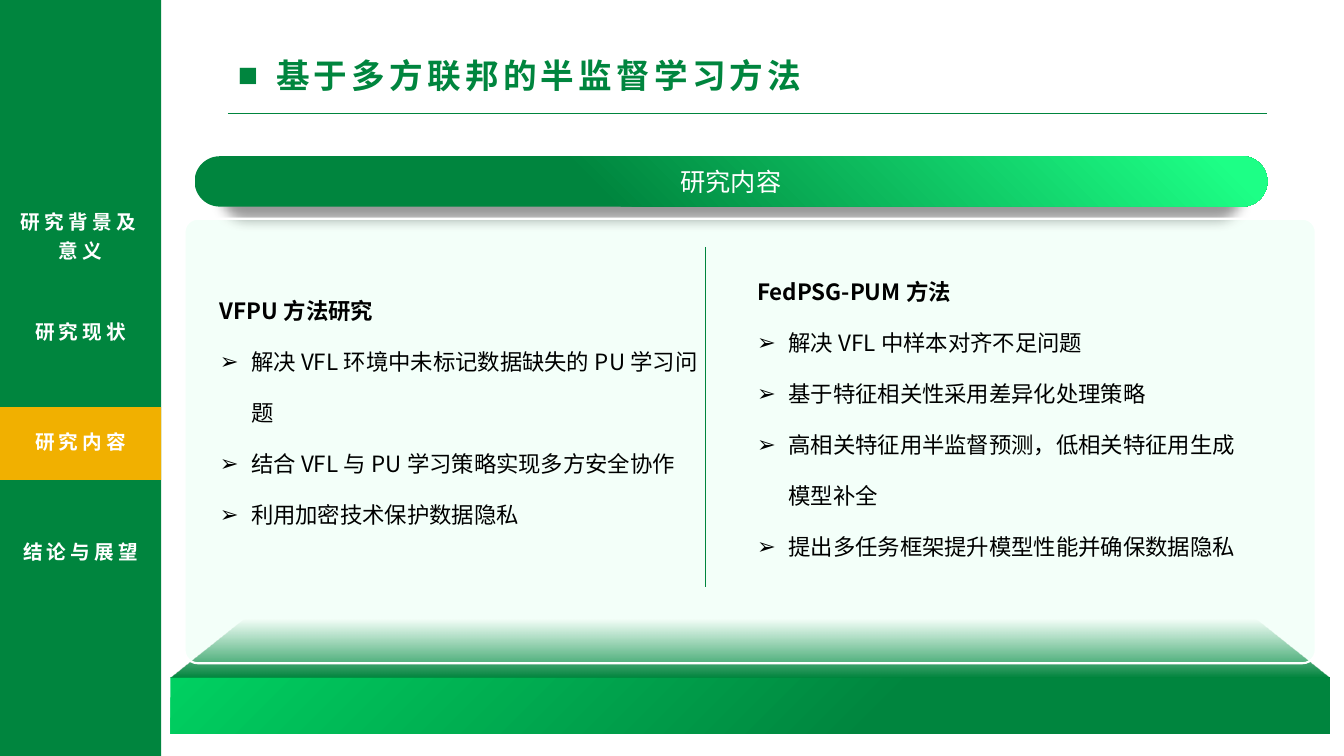
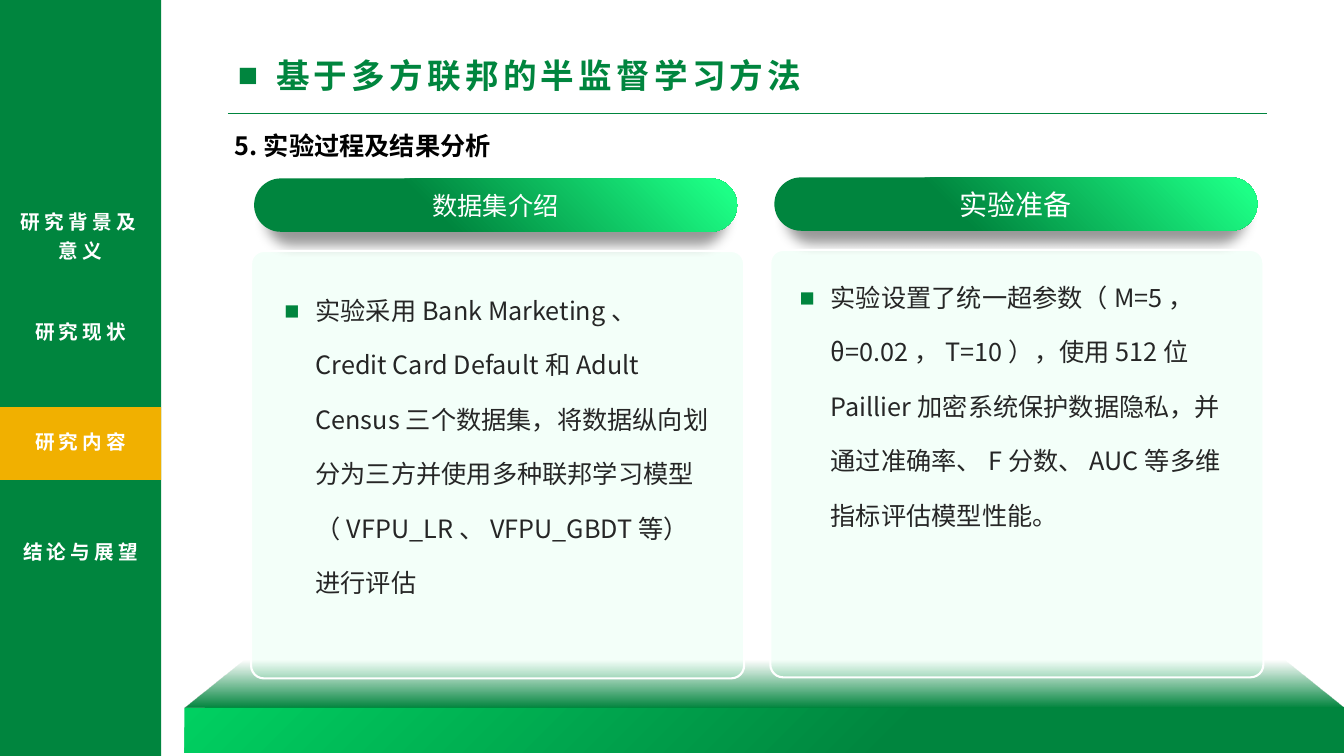
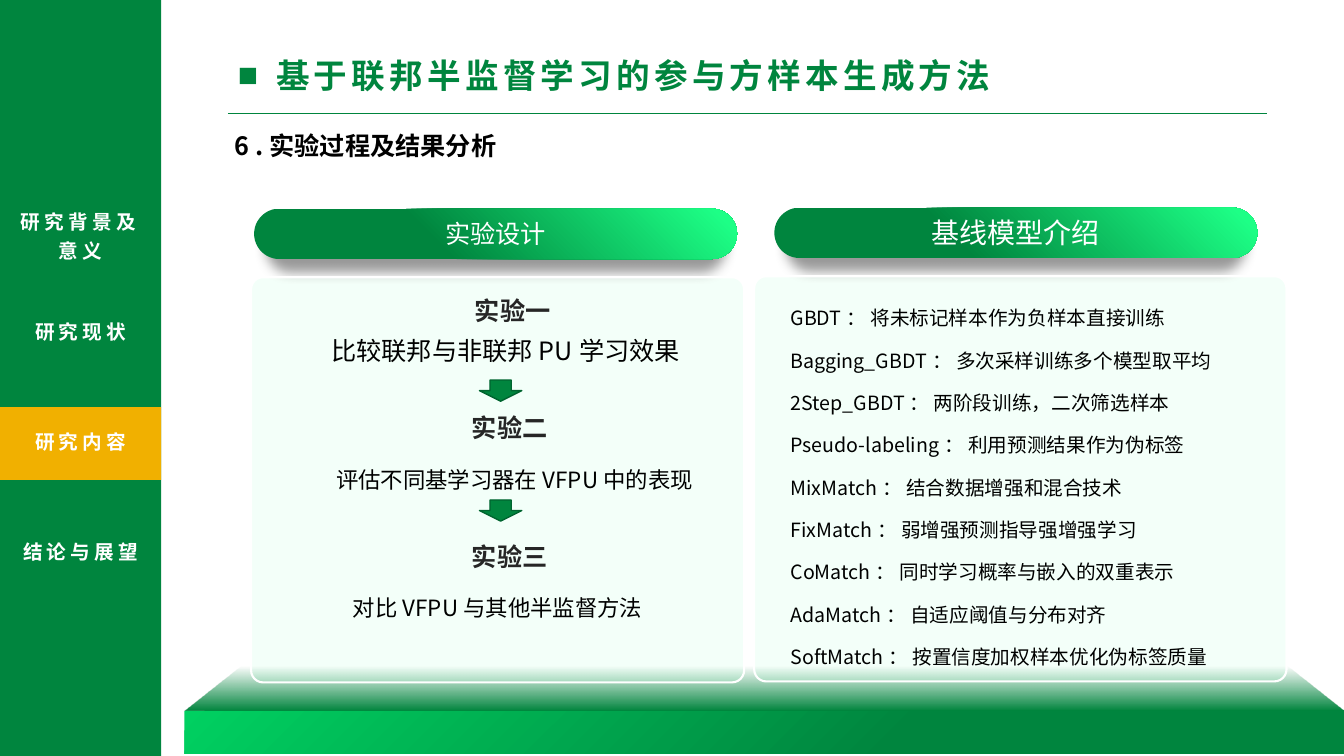
import collections
import dataclasses

import lxml.etree
import pptx
import pptx.dml.color
import pptx.enum.shapes
import pptx.enum.text
import pptx.oxml
import pptx.oxml.ns
import pptx.util

Box = collections.namedtuple("Box", "left top width height")
Inches = pptx.util.Inches
qn = pptx.oxml.ns.qn
Shape = pptx.enum.shapes.MSO_SHAPE
Align = pptx.enum.text.PP_ALIGN
Anchor = pptx.enum.text.MSO_ANCHOR


@dataclasses.dataclass(frozen=True)
class Theme:
    green: str = "00853E"
    dark_green: str = "00642F"
    bright: str = "00D061"
    mint: str = "1DFF86"
    pale: str = "B4FFD7"
    gold: str = "F1B000"
    white: str = "FFFFFF"
    black: str = "000000"
    ink: str = "262626"
    font: str = "Noto Sans CJK SC"
    label_font: str = "Cabin"
    title_size: int = 24
    large: int = 20
    medium: int = 18
    body: int = 16
    small: int = 14
    tracking: int = 300


THEME = Theme()
SECTIONS = ["研究背景及意义", "研究现状", "研究内容", "结论与展望"]
ACTIVE_SECTION = "研究内容"
SECTION_TOP, SECTION_STEP = 1.99, 1.09
SIDEBAR = Box(0, 0, 1.6, 7.5)


def rgb(color):
    return pptx.dml.color.RGBColor.from_string(color)


def lengths(box):
    return [Inches(value) for value in box]


def add_bullet(paragraph, mark, indent, color):
    properties = paragraph._p.get_or_add_pPr()
    properties.set("marL", str(Inches(indent)))
    properties.set("indent", str(-Inches(indent)))
    if not mark:
        lxml.etree.SubElement(properties, qn("a:buNone"))
        return
    bullet_color = lxml.etree.SubElement(properties, qn("a:buClr"))
    lxml.etree.SubElement(bullet_color, qn("a:srgbClr")).set("val", color)
    lxml.etree.SubElement(properties, qn("a:buFont")).set("typeface", "Arial")
    lxml.etree.SubElement(properties, qn("a:buChar")).set("char", mark)


def add_line(paragraph, text, size, color, bold=False, spacing=1.0,
             align=Align.LEFT, mark="", indent=0, mark_color=None,
             tracking=0, font=THEME.font):
    add_bullet(paragraph, mark, indent, mark_color or color)
    paragraph.alignment = align
    paragraph.line_spacing = spacing
    paragraph.space_before = pptx.util.Pt(0)
    run = paragraph.add_run()
    run.text = text
    run.font.size = pptx.util.Pt(size)
    run.font.bold = bold
    run.font.color.rgb = rgb(color)
    run.font.name = font
    properties = run._r.get_or_add_rPr()
    lxml.etree.SubElement(properties, qn("a:ea")).set("typeface", THEME.font)
    if tracking:
        properties.set("spc", str(tracking))


def next_paragraph(frame):
    first = frame.paragraphs[0]
    return frame.add_paragraph() if first.runs else first


def place_text(holder, box):
    holder.left, holder.top, holder.width, holder.height = lengths(box)
    frame = holder.text_frame
    frame.word_wrap = True
    frame.auto_size = pptx.enum.text.MSO_AUTO_SIZE.NONE
    return frame


def add_label(slide, box, text, size, color, **style):
    holder = slide.shapes.add_textbox(*lengths(box))
    frame = place_text(holder, box)
    add_line(frame.paragraphs[0], text, size, color, **style)


def add_block(slide, kind, box, fill=None, line=None, line_width=1):
    block = slide.shapes.add_shape(kind, *lengths(box))
    block.shadow.inherit = False
    if fill:
        block.fill.solid()
        block.fill.fore_color.rgb = rgb(fill)
    else:
        block.fill.background()
    if line:
        block.line.color.rgb = rgb(line)
        block.line.width = pptx.util.Pt(line_width)
    else:
        block.line.fill.background()
    return block


def set_gradient(block, stops, direction):
    stop_xml = "".join(
        f'<a:gs pos="{position * 1000}"><a:srgbClr val="{color}">'
        f'<a:alpha val="{alpha * 1000}"/></a:srgbClr></a:gs>'
        for position, color, alpha in stops)
    gradient = pptx.oxml.parse_xml(
        f'<a:gradFill {pptx.oxml.ns.nsdecls("a")} rotWithShape="1">'
        f"<a:gsLst>{stop_xml}</a:gsLst>{direction}</a:gradFill>")
    properties = block._element.spPr
    properties.replace(properties.find(qn("a:noFill")), gradient)


def linear(angle):
    return f'<a:lin ang="{angle * 60000}" scaled="0"/>'


def add_rule(slide, start, end, width):
    rule = slide.shapes.add_connector(
        pptx.enum.shapes.MSO_CONNECTOR.STRAIGHT, *lengths(start + end))
    rule.line.color.rgb = rgb(THEME.green)
    rule.line.width = pptx.util.Pt(width)
    lxml.etree.SubElement(rule._element.spPr, qn("a:effectLst"))


def add_header(slide, title, subheading=None):
    add_rule(slide, (2.26, 1.12), (12.57, 1.12), 0.5)
    frame = place_text(slide.shapes.title, Box(2.26, 0.49, 8.57, 0.5))
    frame.vertical_anchor = Anchor.TOP
    add_line(frame.paragraphs[0], title, THEME.title_size, THEME.green,
             bold=True, mark="■", indent=0.38, tracking=THEME.tracking)
    if subheading:
        add_label(slide, Box(2.23, 1.24, 5.36, 0.4), subheading,
                  THEME.medium, THEME.black, bold=True)


def add_sidebar(slide, box):
    add_block(slide, Shape.RECTANGLE, box, THEME.green)
    for index, section in enumerate(SECTIONS):
        top = box.top + SECTION_TOP + index * SECTION_STEP
        if section == ACTIVE_SECTION:
            add_block(slide, Shape.RECTANGLE,
                      Box(box.left, top - 0.13, box.width, 0.72), THEME.gold)
        add_label(slide, Box(box.left, top, box.width, 0.38), section,
                  THEME.small, THEME.white, bold=True, spacing=1.2,
                  align=Align.CENTER, tracking=THEME.tracking)


def add_platform(slide, box):
    slope_height = round(box.height * 0.585, 2)
    front = add_block(slide, Shape.RECTANGLE, box._replace(
        top=box.top + slope_height, height=box.height - slope_height))
    set_gradient(front, [(0, THEME.bright, 100), (62, THEME.green, 100)],
                 linear(45))
    slope = add_block(slide, Shape.TRAPEZOID,
                      box._replace(height=slope_height))
    slope.adjustments[0] = 1.27
    set_gradient(slope, [(27, THEME.green, 0), (100, THEME.green, 100)],
                 linear(90))


def add_pill(slide, box, text, size):
    pill = add_block(slide, Shape.ROUNDED_RECTANGLE, box)
    pill.adjustments[0] = 0.5
    set_gradient(pill, [(4, THEME.mint, 100), (63, THEME.green, 100)],
                 '<a:path path="circle"><a:fillToRect l="100000" '
                 'b="100000"/></a:path>')
    shadow = pptx.oxml.parse_xml(
        f'<a:outerShdw {pptx.oxml.ns.nsdecls("a")} blurRad="114300" '
        'dist="114300" dir="5400000" sx="95000" algn="t" rotWithShape="0">'
        f'<a:srgbClr val="{THEME.black}"><a:alpha val="40000"/></a:srgbClr>'
        "</a:outerShdw>")
    pill._element.spPr.find(qn("a:effectLst")).append(shadow)
    frame = pill.text_frame
    frame.margin_left = frame.margin_right = 0
    frame.margin_top = frame.margin_bottom = 0
    frame.vertical_anchor = Anchor.MIDDLE
    add_line(frame.paragraphs[0], text, size, THEME.white,
             align=Align.CENTER, font=THEME.label_font)


def add_card(slide, box):
    card = add_block(slide, Shape.ROUNDED_RECTANGLE, box, THEME.pale,
                     THEME.white, 1.5)
    card.adjustments[0] = 0.03
    tint = card._element.spPr.find(qn("a:solidFill"))[0]
    lxml.etree.SubElement(tint, qn("a:alpha")).set("val", "15000")


def fill_list(slide, index, box, items, size, color, heading=None, **style):
    body = slide.placeholders[index]
    slide.shapes.element.append(body.element)
    frame = place_text(body, box)
    if heading:
        add_line(next_paragraph(frame), heading, size, color, bold=True,
                 spacing=style["spacing"])
    for item in items:
        add_line(next_paragraph(frame), item, size, color, **style)


def add_experiments(slide, card, steps):
    center = card.left + card.width / 2
    for heading, heading_top, shift, finding, finding_top, offset, size in steps:
        add_label(slide, Box(center + shift - 2.4, card.top + heading_top,
                             4.8, 0.38),
                  heading, THEME.medium, THEME.ink, bold=True,
                  align=Align.CENTER)
        add_label(slide, Box(center + offset - 2.45, card.top + finding_top,
                             4.9, 0.38),
                  finding, size, THEME.black, align=Align.CENTER)
    for arrow_top in (1.02, 2.21):
        add_block(slide, Shape.DOWN_ARROW,
                  Box(center - 0.18, card.top + arrow_top, 0.42, 0.21),
                  THEME.green, THEME.dark_green)


def start_slide(deck, layout, title, subheading=None):
    slide = deck.slides.add_slide(deck.slide_layouts.get_by_name(layout))
    add_header(slide, title, subheading)
    add_sidebar(slide, SIDEBAR)
    return slide


def build_overview(deck):
    slide = start_slide(deck, "Two Content", "基于多方联邦的半监督学习方法")
    add_platform(slide, Box(1.69, 5.93, 11.5, 1.35))
    add_pill(slide, Box(1.93, 1.55, 10.64, 0.5), "研究内容", THEME.medium)
    add_card(slide, Box(1.83, 2.17, 11.22, 4.41))
    add_rule(slide, (7, 2.45), (7, 5.82), 1)
    methods = [
        (Box(2.08, 2.66, 5.01, 2.14), "VFPU方法研究", [
            "解决VFL环境中未标记数据缺失的PU学习问题",
            "结合VFL与PU学习策略实现多方安全协作",
            "利用加密技术保护数据隐私"]),
        (Box(7.41, 2.47, 4.97, 3.17), "FedPSG-PUM方法", [
            "解决VFL中样本对齐不足问题",
            "基于特征相关性采用差异化处理策略",
            "高相关特征用半监督预测，低相关特征用生成模型补全",
            "提出多任务框架提升模型性能并确保数据隐私"]),
    ]
    for index, (box, heading, points) in enumerate(methods, 1):
        fill_list(slide, index, box, points, THEME.body, THEME.black,
                  heading=heading, spacing=1.9, mark="➢", indent=0.31)


def build_setup(deck):
    slide = start_slide(deck, "Two Content", "基于多方联邦的半监督学习方法",
                        "5.实验过程及结果分析")
    add_platform(slide, Box(1.83, 6.38, 11.5, 1.09))
    columns = [
        (Box(2.49, 2.49, 4.89, 4.24), 0.03, "数据集介绍", THEME.medium,
         Box(2.72, 2.64, 4.44, 3.69),
         "实验采用Bank Marketing、Credit Card Default和Adult Census三个数据集，"
         "将数据纵向划分为三方并使用多种联邦学习模型（VFPU_LR、VFPU_GBDT等）进行评估"),
        (Box(7.64, 2.48, 4.89, 4.24), 0.04, "实验准备", THEME.large,
         Box(7.83, 2.51, 4.48, 3.52),
         "实验设置了统一超参数（M=5，θ=0.02，T=10），使用512位Paillier加密系统"
         "保护数据隐私，并通过准确率、F分数、AUC等多维指标评估模型性能。"),
    ]
    for index, (card, inset, label, size, box, point) in enumerate(columns, 1):
        add_pill(slide, Box(card.left + inset, card.top - 0.72, 4.79, 0.53),
                 label, size)
        add_card(slide, card)
        fill_list(slide, index, box, [point], THEME.medium, THEME.ink,
                  spacing=1.8, mark="■", indent=0.31, mark_color=THEME.green)


def build_design(deck):
    slide = start_slide(deck, "Title and Content",
                        "基于联邦半监督学习的参与方样本生成方法",
                        "6 .实验过程及结果分析")
    add_platform(slide, Box(1.83, 6.44, 11.5, 1.04))
    design = Box(2.49, 2.75, 4.89, 4.02)
    baselines = Box(7.48, 2.74, 5.28, 4.02)
    for card, inset, label, size in [
            (design, 0.03, "实验设计", THEME.medium),
            (baselines, 0.2, "基线模型介绍", THEME.large)]:
        add_pill(slide, Box(card.left + inset, card.top - 0.68, 4.79, 0.5),
                 label, size)
        add_card(slide, card)
    add_experiments(slide, design, [
        ("实验一", 0.13, 0.15, "比较联邦与非联邦PU学习效果", 0.53, 0.08,
         THEME.medium),
        ("实验二", 1.29, 0.12, "评估不同基学习器在VFPU中的表现", 1.82, 0.17,
         THEME.body),
        ("实验三", 2.57, 0.12, "对比VFPU与其他半监督方法", 3.09, 0,
         THEME.body),
    ])
    fill_list(slide, 1, Box(7.74, 2.8, 5.03, 3.91), [
        "GBDT： 将未标记样本作为负样本直接训练",
        "Bagging_GBDT： 多次采样训练多个模型取平均",
        "2Step_GBDT： 两阶段训练，二次筛选样本",
        "Pseudo-labeling： 利用预测结果作为伪标签",
        "MixMatch： 结合数据增强和混合技术",
        "FixMatch： 弱增强预测指导强增强学习",
        "CoMatch： 同时学习概率与嵌入的双重表示",
        "AdaMatch： 自适应阈值与分布对齐",
        "SoftMatch： 按置信度加权样本优化伪标签质量",
    ], THEME.small, THEME.black, spacing=1.8)


def main():
    deck = pptx.Presentation()
    deck.slide_width, deck.slide_height = Inches(13.33), Inches(7.5)
    build_overview(deck)
    build_setup(deck)
    build_design(deck)
    deck.save("out.pptx")


if __name__ == "__main__":
    main()
